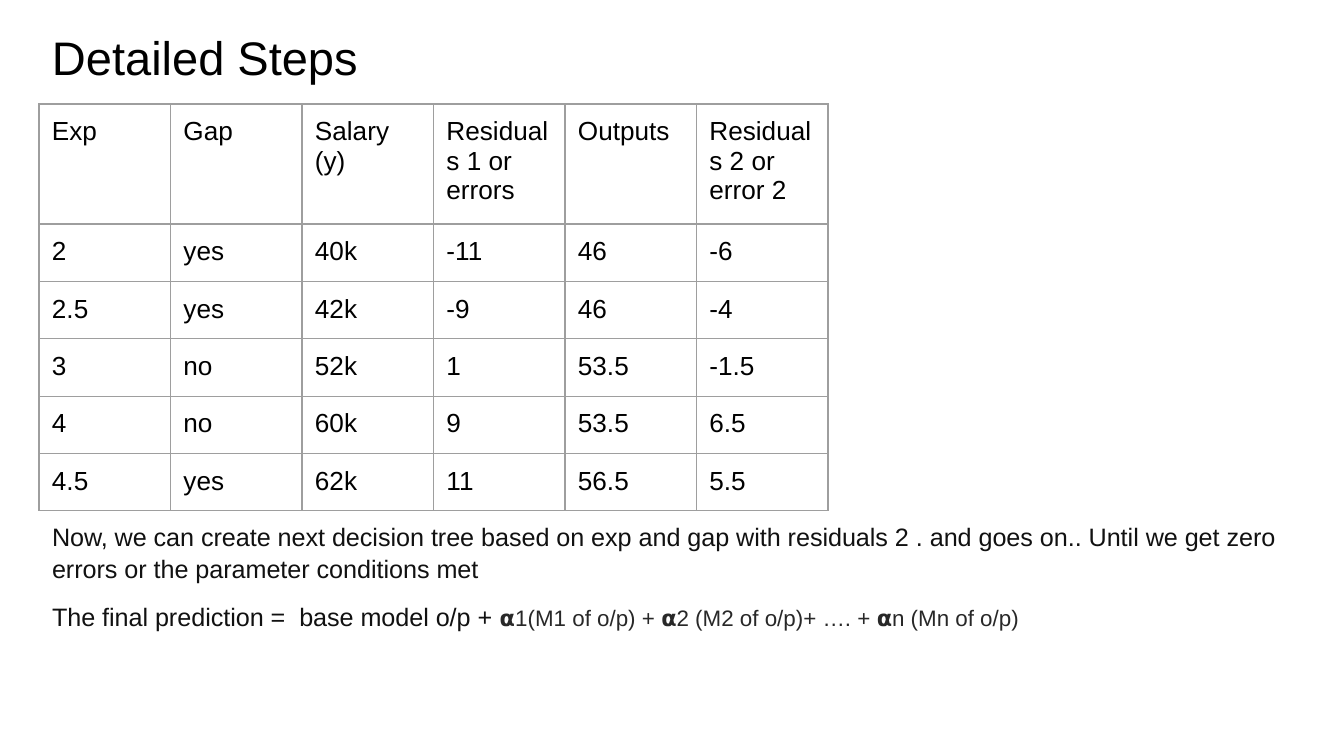
from typing import NamedTuple

from lxml import etree
from pptx import Presentation
from pptx import util as u
from pptx.dml import color
from pptx.enum import text
from pptx.oxml import ns

SCALE = 914400 / 134.4
FONT = "Arial"
BLACK, INK, GREY, RULE = "000000", "111111", "282828", "9E9E9E"
PAD = 13


class Box(NamedTuple):
    x: int
    y: int
    w: int
    h: int


class Span(NamedTuple):
    words: str
    size: float
    hue: str


ROWS = [
    ("Exp", "Gap", "Salary (y)", "Residuals 1 or errors", "Outputs",
     "Residuals 2 or error 2"),
    ("2", "yes", "40k", "-11", "46", "-6"),
    ("2.5", "yes", "42k", "-9", "46", "-4"),
    ("3", "no", "52k", "1", "53.5", "-1.5"),
    ("4", "no", "60k", "9", "53.5", "6.5"),
    ("4.5", "yes", "62k", "11", "56.5", "5.5"),
]
TITLE = [[Span("Detailed Steps", 25.2, BLACK)]]
NOTES = [
    [Span("Now, we can create next decision tree based on exp and gap with "
          "residuals 2 . and goes on.. Until we get zero errors or the "
          "parameter conditions met", 13.5, INK)],
    [Span("The final prediction =  base model o/p + ", 13.5, INK),
     Span("𝝰1(M1 of o/p) + 𝝰2 (M2 of o/p)+ …. + 𝝰n (Mn of o/p)", 12, GREY)],
]


def px(n: int) -> int:
    return round(n * SCALE)


def rgb(code: str) -> color.RGBColor:
    return color.RGBColor.from_string(code)


def style(run, size: float, hue: str) -> None:
    run.font.name = FONT
    run.font.size = u.Pt(size)
    run.font.color.rgb = rgb(hue)


def pad(item) -> None:
    item.margin_left = item.margin_right = px(PAD)
    item.margin_top = item.margin_bottom = px(PAD)


def write(slide, box: Box, lines: list[list[Span]], anchor,
          gap: float = 0, pitch: float = 1.0) -> None:
    frame = slide.shapes.add_textbox(*map(px, box)).text_frame
    frame.word_wrap = True
    frame.vertical_anchor = anchor
    pad(frame)
    for i, spans in enumerate(lines):
        para = frame.add_paragraph() if i else frame.paragraphs[0]
        para.line_spacing = pitch
        para.space_before = u.Pt(gap if i else 0)
        for span in spans:
            run = para.add_run()
            run.text = span.words
            style(run, span.size, span.hue)


def edge(cell, hue: str, width: float) -> None:
    props = cell._tc.get_or_add_tcPr()
    for i, side in enumerate(("lnL", "lnR", "lnT", "lnB")):
        line = etree.Element(ns.qn(f"a:{side}"), w=str(u.Pt(width)))
        fill = etree.SubElement(line, ns.qn("a:solidFill"))
        etree.SubElement(fill, ns.qn("a:srgbClr"), val=hue)
        props.insert(i, line)


def grid(slide, box: Box, head: int, rows: list[tuple[str, ...]]) -> None:
    table = slide.shapes.add_table(
        len(rows), len(rows[0]), *map(px, box)).table
    table.first_row = table.horz_banding = False
    for col in table.columns:
        col.width = px(box.w) // len(rows[0])
    for r, row in enumerate(rows):
        table.rows[r].height = (
            px(box.h - head) // (len(rows) - 1) if r else px(head))
        for c, words in enumerate(row):
            cell = table.cell(r, c)
            cell.text_frame.text = words
            style(cell.text_frame.paragraphs[0].runs[0], 14, BLACK)
            pad(cell)
            cell.fill.background()
            edge(cell, RULE, 0.75)


def main() -> None:
    deck = Presentation()
    deck.slide_width, deck.slide_height = px(1344), px(756)
    slide = deck.slides.add_slide(deck.slide_layouts[6])
    write(slide, Box(39, 13, 1253, 85), TITLE, text.MSO_ANCHOR.BOTTOM)
    write(slide, Box(39, 507, 1305, 135), NOTES, text.MSO_ANCHOR.TOP,
          gap=9, pitch=1.05)
    grid(slide, Box(39, 104, 789, 397), 115, ROWS)
    deck.save("out.pptx")


if __name__ == "__main__":
    main()
